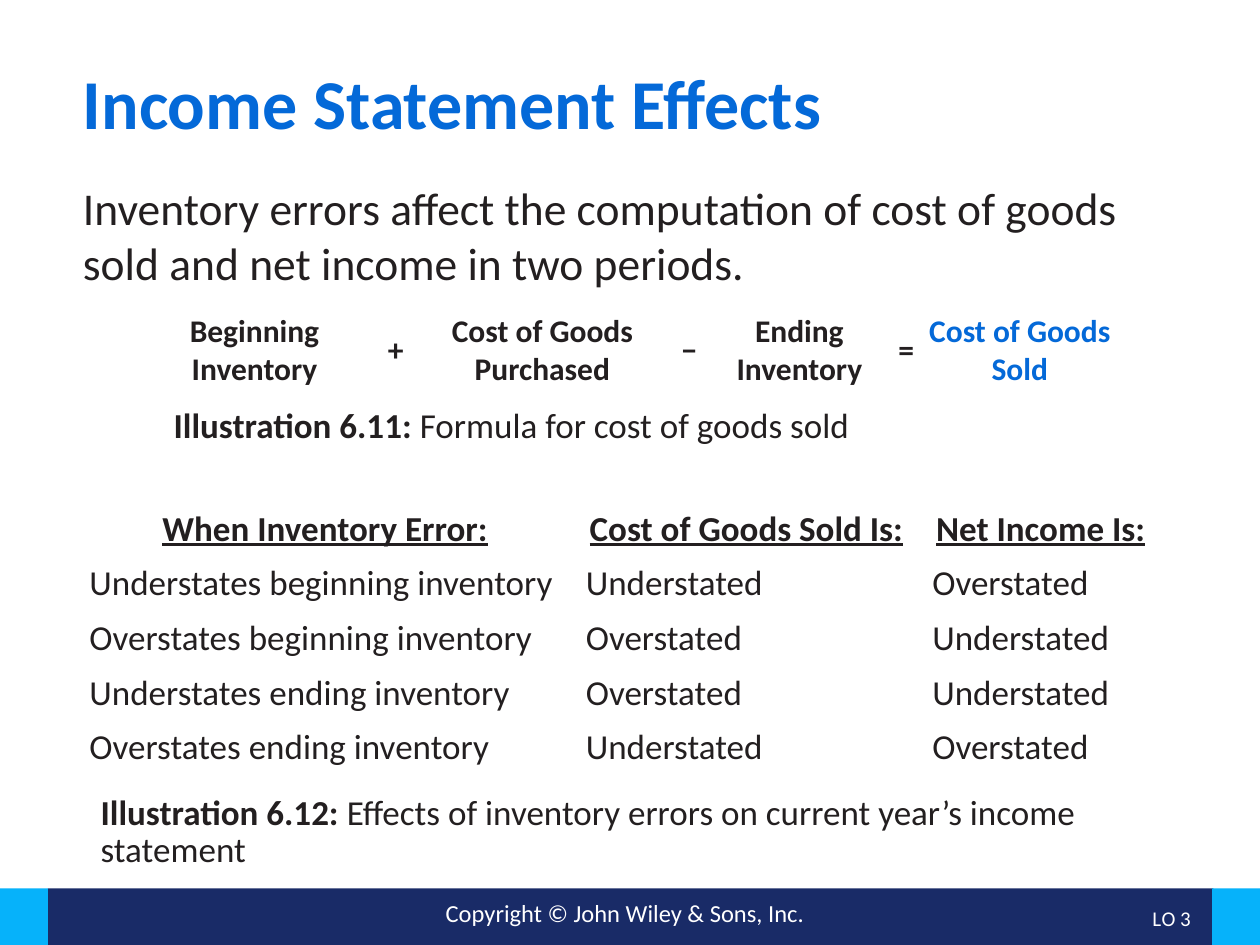
from pptx import Presentation
from pptx import util as u
from pptx.dml import color
from pptx.enum import shapes, text

INK, BLUE, WHITE = "231F20", "0469D8", "FFFFFF"
CENTER, LEFT, RIGHT = text.PP_ALIGN.CENTER, text.PP_ALIGN.LEFT, text.PP_ALIGN.RIGHT
MIDDLE, TOP = text.MSO_ANCHOR.MIDDLE, text.MSO_ANCHOR.TOP


def rgb(code):
    return color.RGBColor.from_string(code)


def add_span(para, words, size, ink=INK, bold=False, underline=False):
    span = para.add_run()
    span.text = words
    font = span.font
    font.name, font.size, font.bold = "Calibri", u.Pt(size), bold
    font.underline = underline
    font.color.rgb = rgb(ink)


def add_bar(page, left, width, fill):
    bar = page.shapes.add_shape(shapes.MSO_SHAPE.RECTANGLE, u.Inches(left),
                                u.Inches(7.05), u.Inches(width), u.Inches(0.5))
    bar.shadow.inherit = False
    bar.fill.solid()
    bar.fill.fore_color.rgb = rgb(fill)
    bar.line.fill.background()


def add_text(page, place, align=LEFT, anchor=TOP, spacing=1.0):
    box = page.shapes.add_textbox(*map(u.Inches, place))
    frame = box.text_frame
    frame.word_wrap = True
    frame.vertical_anchor = anchor
    para = frame.paragraphs[0]
    para.alignment, para.line_spacing = align, spacing
    return para


def add_caption(page, place, label, words, spacing=1.0):
    para = add_text(page, place, spacing=spacing)
    add_span(para, label, 20, bold=True)
    add_span(para, words, 20)


def add_grid(page, left, top, widths, height, row_count):
    frame = page.shapes.add_table(row_count, len(widths), u.Inches(left), u.Inches(top),
                                  u.Inches(sum(widths)), u.Inches(height * row_count))
    table = frame.table
    table.first_row = table.horz_banding = False
    for column, width in zip(table.columns, widths):
        column.width = u.Inches(width)
    for cell in table.iter_cells():
        cell.fill.background()
    return table


def fill_cell(cell, words, size, align, anchor=TOP, **style):
    cell.vertical_anchor = anchor
    para = cell.text_frame.paragraphs[0]
    para.alignment = align
    add_span(para, words, size, **style)


def add_formula(page):
    terms = ["Beginning Inventory", "+", "Cost of Goods Purchased", "−",
             "Ending Inventory", "=", "Cost of Goods Sold"]
    widths = [1.86, 0.38, 1.95, 0.38, 1.37, 0.23, 1.65]
    table = add_grid(page, 1.09, 2.43, widths, 0.7, 1)
    for index, term in enumerate(terms):
        ink = BLUE if index == len(terms) - 1 else INK
        fill_cell(table.cell(0, index), term, 18, CENTER, MIDDLE, ink=ink, bold=True)


def add_effects(page):
    rows = [
        ("When Inventory Error:", "Cost of Goods Sold Is:", "Net Income Is:"),
        ("Understates beginning inventory", "Understated", "Overstated"),
        ("Overstates beginning inventory", "Overstated", "Understated"),
        ("Understates ending inventory", "Overstated", "Understated"),
        ("Overstates ending inventory", "Understated", "Overstated"),
    ]
    table = add_grid(page, 0.61, 3.98, [3.94, 2.75, 1.92], 0.41, len(rows))
    for row, entries in enumerate(rows):
        header = row == 0
        for column, words in enumerate(entries):
            fill_cell(table.cell(row, column), words, 20, CENTER if header else LEFT,
                      bold=header, underline=header)


def add_footer(page):
    for left, width, fill in [(0.38, 9.25, "192B67"), (0, 0.38, "06B2FA"),
                              (9.62, 0.38, "06B2FA")]:
        add_bar(page, left, width, fill)
    notice = add_text(page, (2.5, 7.08, 4.92, 0.34), CENTER)
    add_span(notice, "Copyright © John Wiley & Sons, Inc.", 14, WHITE)
    objective = add_text(page, (8.73, 7.1, 0.82, 0.4), RIGHT, MIDDLE, 0.9)
    for words, size in [("L", 12), (" ", 1), ("O 3", 12)]:
        add_span(objective, words, size, WHITE)


def main():
    deck = Presentation()
    deck.slide_width, deck.slide_height = u.Inches(10), u.Inches(7.5)
    page = deck.slides.add_slide(deck.slide_layouts[6])
    add_footer(page)
    title = add_text(page, (0.56, 0.5, 8.88, 0.93), spacing=0.9)
    add_span(title, "Income Statement Effects", 40, BLUE, bold=True)
    lead = add_text(page, (0.56, 1.38, 8.88, 1.01))
    add_span(lead, "Inventory errors affect the computation of cost of goods "
                   "sold and net income in two periods.", 26)
    add_formula(page)
    add_caption(page, (1.28, 3.15, 7.26, 0.48), "Illustration 6.11: ",
                "Formula for cost of goods sold")
    add_effects(page)
    add_caption(page, (0.7, 6.26, 8.99, 0.64), "Illustration 6.12: ",
                "Effects of inventory errors on current year’s income statement", 0.9)
    deck.save("out.pptx")


if __name__ == "__main__":
    main()
